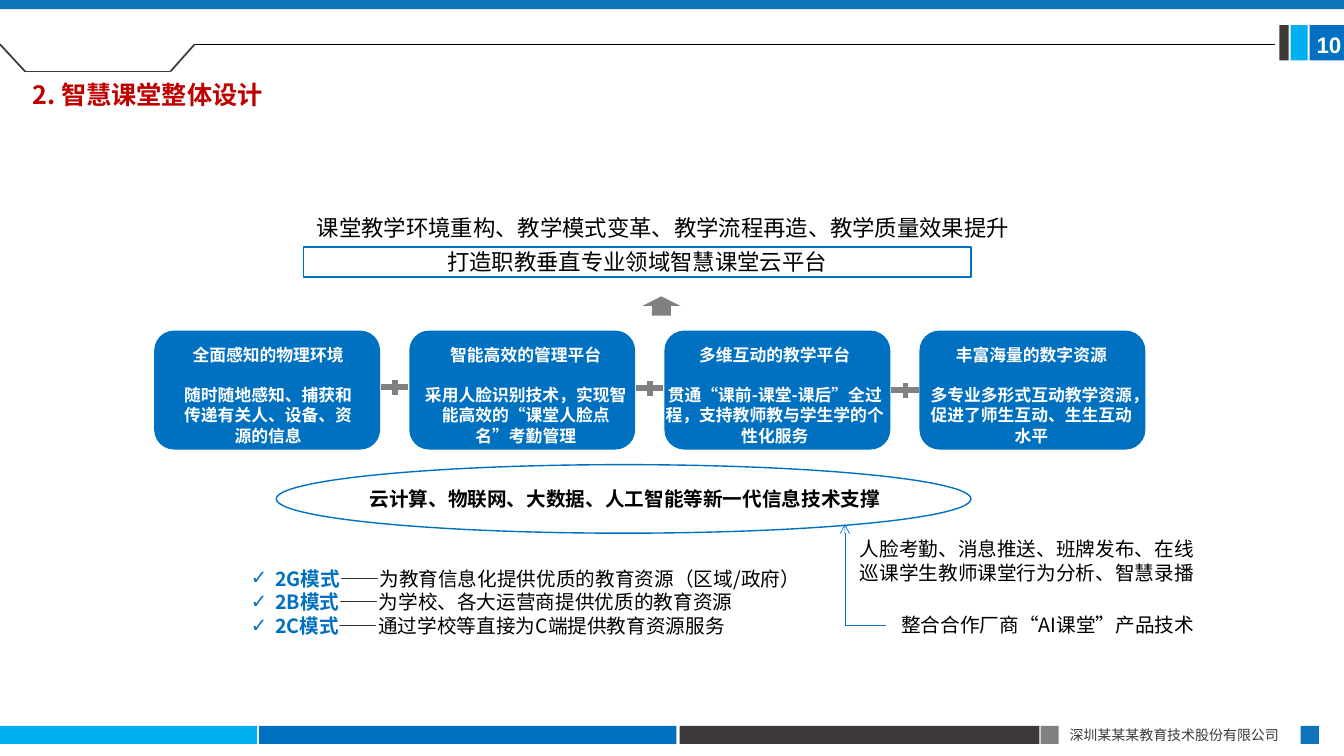
import lxml.etree
import pptx
import pptx.dml.color
import pptx.enum.shapes
import pptx.enum.text
import pptx.oxml.ns
import pptx.util

Inches = pptx.util.Inches
Pt = pptx.util.Pt
qn = pptx.oxml.ns.qn
rgb = pptx.dml.color.RGBColor.from_string
SHAPE = pptx.enum.shapes.MSO_SHAPE
CONNECTOR = pptx.enum.shapes.MSO_CONNECTOR
ALIGN = pptx.enum.text.PP_ALIGN
BLUE, CYAN, BAND, DARK, GRAY = "0070C0", "00B0F0", "1074BB", "3E3A39", "808080"

deck = pptx.Presentation()
deck.slide_width = Inches(13.33)
deck.slide_height = Inches(7.5)
slide = deck.slides.add_slide(deck.slide_layouts[6])


def block(kind, left, top, width, height, fill=None, line=None):
    shape = slide.shapes.add_shape(kind, Inches(left), Inches(top), Inches(width), Inches(height))
    shape.shadow.inherit = False
    if fill:
        shape.fill.solid()
        shape.fill.fore_color.rgb = rgb(fill)
    else:
        shape.fill.background()
    if line:
        shape.line.color.rgb = rgb(line)
        shape.line.width = Pt(1)
    else:
        shape.line.fill.background()
    return shape


def write(text, area, size=14, color="000000", bold=False, align=ALIGN.LEFT, font="Noto Sans CJK SC",
          gap=0, spacing=None, inset=(0.1, 0.05), lead_color=None):
    frame = slide.shapes.add_textbox(*[Inches(length) for length in area]).text_frame
    frame.word_wrap = True
    frame.margin_left = frame.margin_right = Inches(inset[0])
    frame.margin_top = frame.margin_bottom = Inches(inset[1])
    for index, sentence in enumerate(text.split("\n")):
        paragraph = frame.paragraphs[0] if index == 0 else frame.add_paragraph()
        paragraph.alignment = align
        if index and gap:
            paragraph.space_before = Pt(gap)
        if spacing:
            paragraph.line_spacing = spacing
        pieces = [(sentence, color, bold)]
        if lead_color:
            lead, dash, rest = sentence.partition("——")
            pieces = [(lead, lead_color, True), (dash + rest, color, bold)]
            properties = paragraph._p.get_or_add_pPr()
            properties.set("marL", str(Inches(0.24)))
            properties.set("indent", str(-Inches(0.24)))
            bullet_color = lxml.etree.SubElement(properties, qn("a:buClr"))
            lxml.etree.SubElement(bullet_color, qn("a:srgbClr")).set("val", lead_color)
            lxml.etree.SubElement(properties, qn("a:buFont")).set("typeface", "Arial")
            lxml.etree.SubElement(properties, qn("a:buChar")).set("char", "✓")
        for words, tint, weight in pieces:
            run = paragraph.add_run()
            run.text = words
            run.font.size = Pt(size)
            run.font.bold = weight
            run.font.name = font
            run.font.color.rgb = rgb(tint)
            lxml.etree.SubElement(run._r.rPr, qn("a:ea")).set("typeface", font)


bars = [
    (0, 7.2, 2.55, 0.18, CYAN),
    (2.57, 7.2, 4.14, 0.18, BLUE),
    (6.74, 7.2, 3.57, 0.18, DARK),
    (10.32, 7.2, 0.18, 0.18, GRAY),
    (12.9, 7.2, 0.18, 0.18, BAND),
    (12.99, 0.25, 0.34, 0.35, BLUE),
    (12.8, 0.25, 0.17, 0.35, CYAN),
    (12.69, 0.25, 0.09, 0.35, DARK),
    (0, 0, 13.33, 0.09, BAND),
]
for *area, fill in bars:
    block(SHAPE.RECTANGLE, *area, fill=fill)

write("深圳某某某教育技术股份有限公司", (10.51, 7.16, 2.4, 0.27), size=10, color=DARK, align=ALIGN.JUSTIFY)
write("10", (12.96, 0.26, 0.5, 0.37), size=16, color="FFFFFF", bold=True, font="Arial")
write("2. 智慧课堂整体设计", (0.24, 0.75, 2.48, 0.38), size=18, color="C00000", bold=True, inset=(0.08, 0.04))

write("课堂教学环境重构、教学模式变革、教学流程再造、教学质量效果提升", (2.6, 1.94, 7.96, 0.5),
      size=16, align=ALIGN.CENTER, spacing=1.5)
block(SHAPE.RECTANGLE, 3.01, 2.45, 6.62, 0.3, line=BLUE)
write("打造职教垂直专业领域智慧课堂云平台", (3.01, 2.41, 6.62, 0.38), size=16, align=ALIGN.CENTER)
block(SHAPE.UP_ARROW, 6.37, 2.94, 0.38, 0.19, fill=GRAY)

pillars = [
    (1.71, 1.9, "全面感知的物理环境", "随时随地感知、捕获和传递有关人、设备、资源的信息"),
    (4.11, 2.21, "智能高效的管理平台", "采用人脸识别技术，实现智能高效的“课堂人脸点名”考勤管理"),
    (6.47, 2.43, "多维互动的教学平台", "贯通“课前-课堂-课后”全过程，支持教师教与学生学的个性化服务"),
    (9.1, 2.26, "丰富海量的数字资源", "多专业多形式互动教学资源，促进了师生互动、生生互动水平"),
]
pitch = 2.53
for index, (left, width, heading, detail) in enumerate(pillars):
    block(SHAPE.ROUNDED_RECTANGLE, 1.53 + index * pitch, 3.28, 2.24, 1.18, fill=BLUE)
    write(heading + "\n" + detail, (left, 3.37, width, 1.11), size=12, color="FFFFFF", bold=True,
          align=ALIGN.CENTER, gap=14.4)

block(SHAPE.OVAL, 2.74, 4.61, 6.89, 0.68, line=BLUE)
write("云计算、物联网、大数据、人工智能等新一代信息技术支撑", (3.37, 4.78, 5.66, 0.34),
      bold=True, align=ALIGN.CENTER)
write("2G模式——为教育信息化提供优质的教育资源（区域/政府）\n"
      "2B模式——为学校、各大运营商提供优质的教育资源\n"
      "2C模式——通过学校等直接为C端提供教育资源服务", (2.39, 5.57, 5.68, 0.81), lead_color=BLUE)
write("人脸考勤、消息推送、班牌发布、在线巡课学生教师课堂行为分析、智慧录播", (8.43, 5.28, 3.61, 0.57))
write("整合合作厂商“AI课堂”产品技术", (8.84, 6.03, 3.15, 0.34))

lines = [
    (0.25, 0.71, 1.69, 0.71, DARK, 1.25),
    (1.69, 0.71, 1.93, 0.44, DARK, 1.25),
    (0.25, 0.71, 0, 0.44, DARK, 1.25),
    (1.93, 0.44, 12.65, 0.44, "000000", 0.5),
    (8.79, 6.2, 8.38, 5.2, BLUE, 0.5),
]
for index, middle in enumerate((3.84, 3.85, 3.87)):
    left = 3.78 + index * pitch
    lines.append((left, middle, left + 0.27, middle, GRAY, 4))
    lines.append((left + 0.14, middle - 0.07, left + 0.14, middle + 0.08, GRAY, 4))
for *ends, color, weight in lines:
    bent = color == BLUE
    stroke = slide.shapes.add_connector(CONNECTOR.ELBOW if bent else CONNECTOR.STRAIGHT,
                                        *[Inches(end) for end in ends])
    stroke.line.color.rgb = rgb(color)
    stroke.line.width = Pt(weight)
    properties = stroke._element.spPr
    if bent:
        properties.find(qn("a:prstGeom")).set("prst", "bentConnector2")
        lxml.etree.SubElement(properties.find(qn("a:ln")), qn("a:tailEnd")).set("type", "arrow")
    lxml.etree.SubElement(properties, qn("a:effectLst"))

deck.save("out.pptx")
